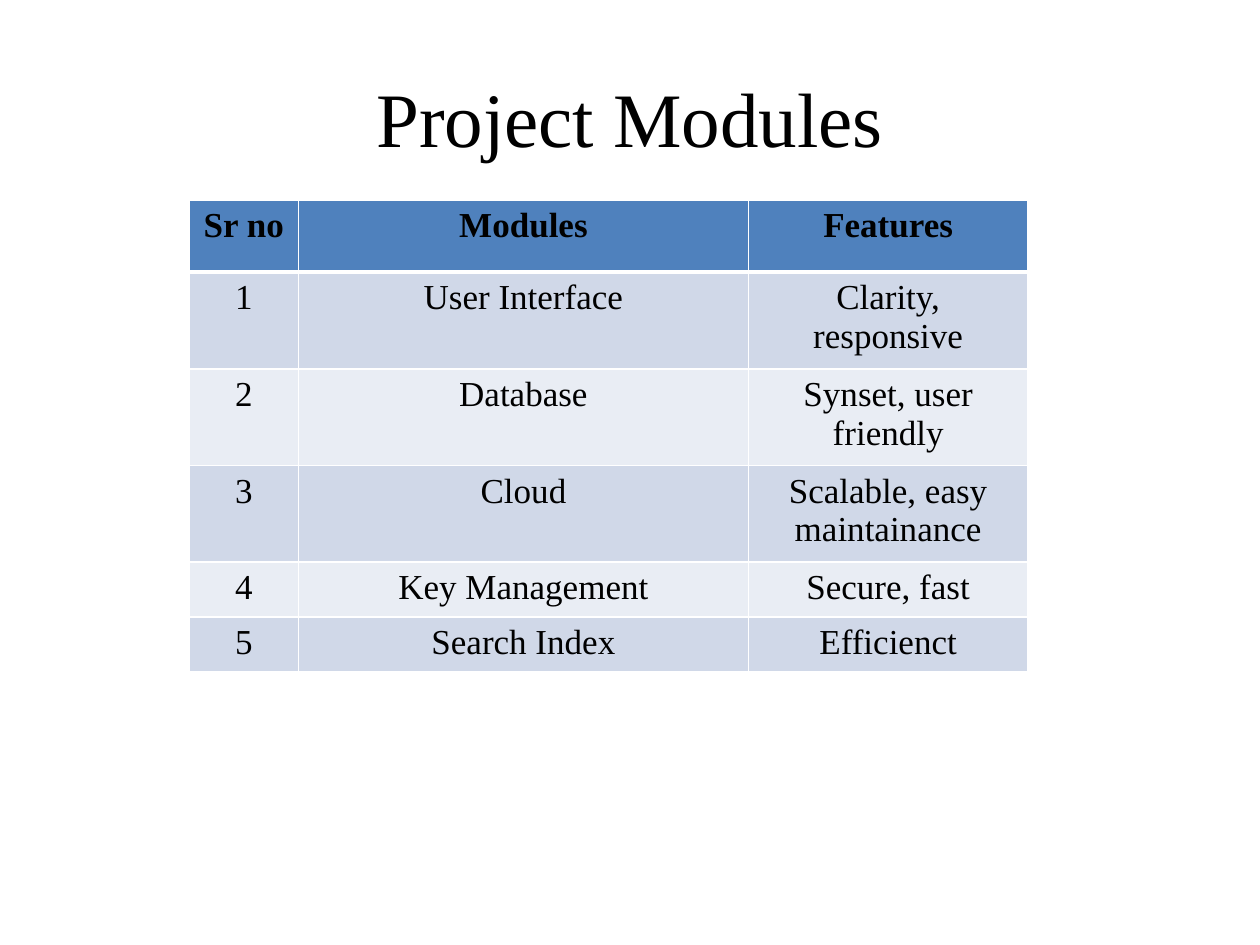
from pptx import Presentation
from pptx import util as u
from pptx.dml.color import RGBColor
from pptx.enum import text
from pptx.oxml.ns import qn
from lxml import etree

TITLE = "Project Modules"
ROWS = [
    ("Sr no", "Modules", "Features"),
    ("1", "User Interface", "Clarity, responsive"),
    ("2", "Database", "Synset, user friendly"),
    ("3", "Cloud", "Scalable, easy maintainance"),
    ("4", "Key Management", "Secure, fast"),
    ("5", "Search Index", "Efficienct"),
]
THEME = {
    "font": "Times New Roman", "title": 44, "cell": 20,
    "ink": "000000", "rule": "FFFFFF", "head": "4F81BD",
    "bands": ("D0D8E8", "E9EDF4"),
}
WIDE, HIGH = 10, 7.5
TITLE_BOX = (0.5, 0.3, 9, 1.25)
LEFT, TOP = 1.5, 1.59
COLS = (0.87, 3.57, 2.22)
HEAD_ROW, BODY_ROW = 0.57, 0.41


def style(para, size, bold=False):
    """Centre a paragraph and set its font."""
    para.alignment = text.PP_ALIGN.CENTER
    font = para.font
    font.name, font.size, font.bold = THEME["font"], u.Pt(size), bold
    font.color.rgb = RGBColor.from_string(THEME["ink"])


def edge(cell, side, width):
    """Draw one border of a cell, ahead of its fill in the XML."""
    props = cell._tc.get_or_add_tcPr()
    line = etree.Element(qn(f"a:ln{side}"), w=str(u.Pt(width)))
    fill = etree.SubElement(line, qn("a:solidFill"))
    etree.SubElement(fill, qn("a:srgbClr"), val=THEME["rule"])
    props.insert("LRTB".index(side), line)


def add_title(slide):
    """Place the slide title."""
    box = slide.shapes.add_textbox(*map(u.Inches, TITLE_BOX))
    frame = box.text_frame
    frame.word_wrap = True
    frame.vertical_anchor = text.MSO_ANCHOR.MIDDLE
    frame.text = TITLE
    style(frame.paragraphs[0], THEME["title"])


def add_grid(slide):
    """Build the module table with a header and banded rows."""
    highs = [HEAD_ROW] + [BODY_ROW] * (len(ROWS) - 1)
    area = map(u.Inches, (LEFT, TOP, sum(COLS), sum(highs)))
    table = slide.shapes.add_table(len(ROWS), len(COLS), *area).table
    for col, width in zip(table.columns, COLS):
        col.width = u.Inches(width)
    for r, words in enumerate(ROWS):
        table.rows[r].height = u.Inches(highs[r])
        head = r == 0
        tint = THEME["head"] if head else THEME["bands"][(r - 1) % 2]
        for c, word in enumerate(words):
            cell = table.cell(r, c)
            cell.text = word
            style(cell.text_frame.paragraphs[0], THEME["cell"], head)
            cell.fill.solid()
            cell.fill.fore_color.rgb = RGBColor.from_string(tint)
            for side in "LRTB":
                thick = (head and side == "B") or (r == 1 and side == "T")
                edge(cell, side, 3 if thick else 1)


deck = Presentation()
deck.slide_width, deck.slide_height = u.Inches(WIDE), u.Inches(HIGH)
page = deck.slides.add_slide(deck.slide_layouts[6])
add_title(page)
add_grid(page)
deck.save("out.pptx")
